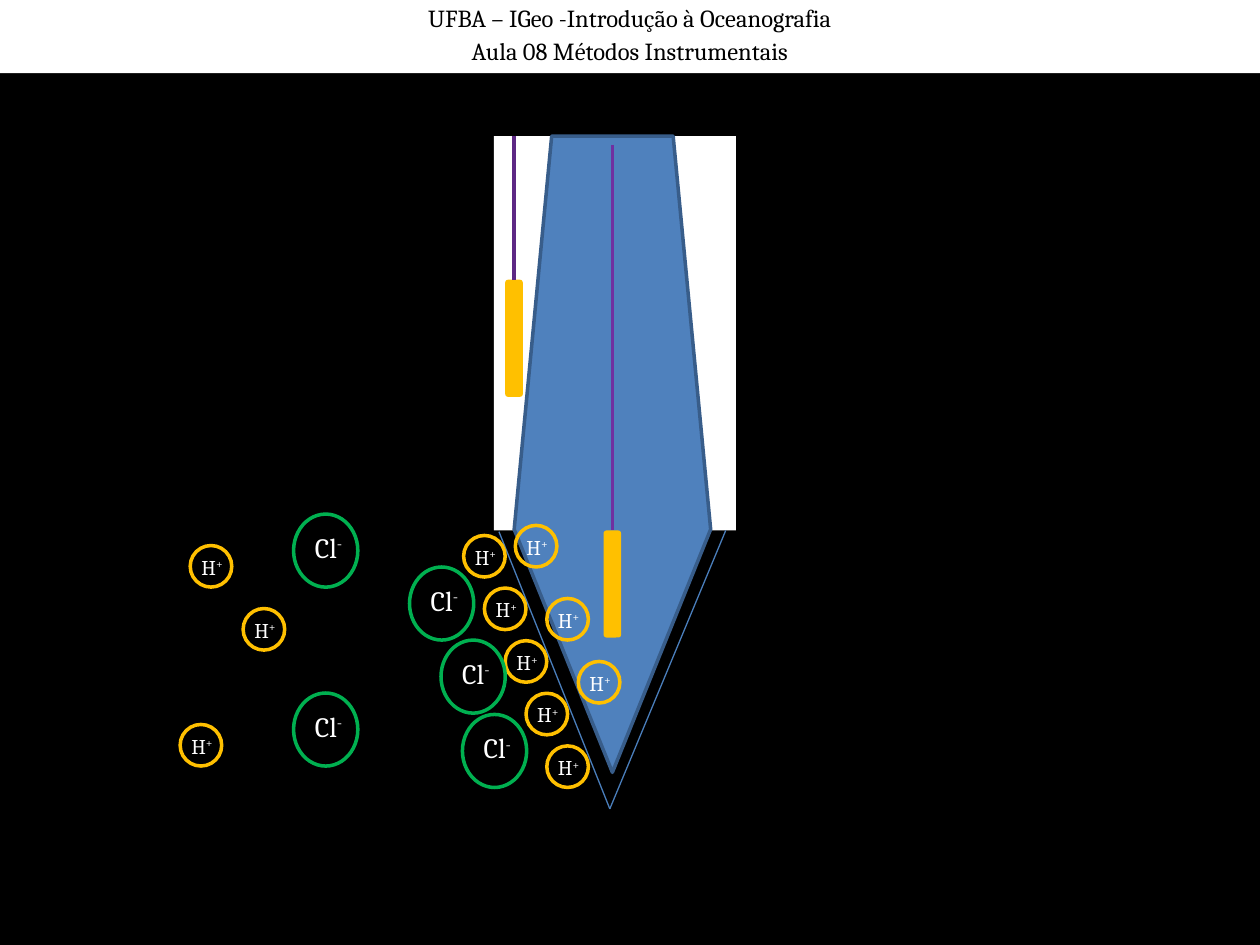
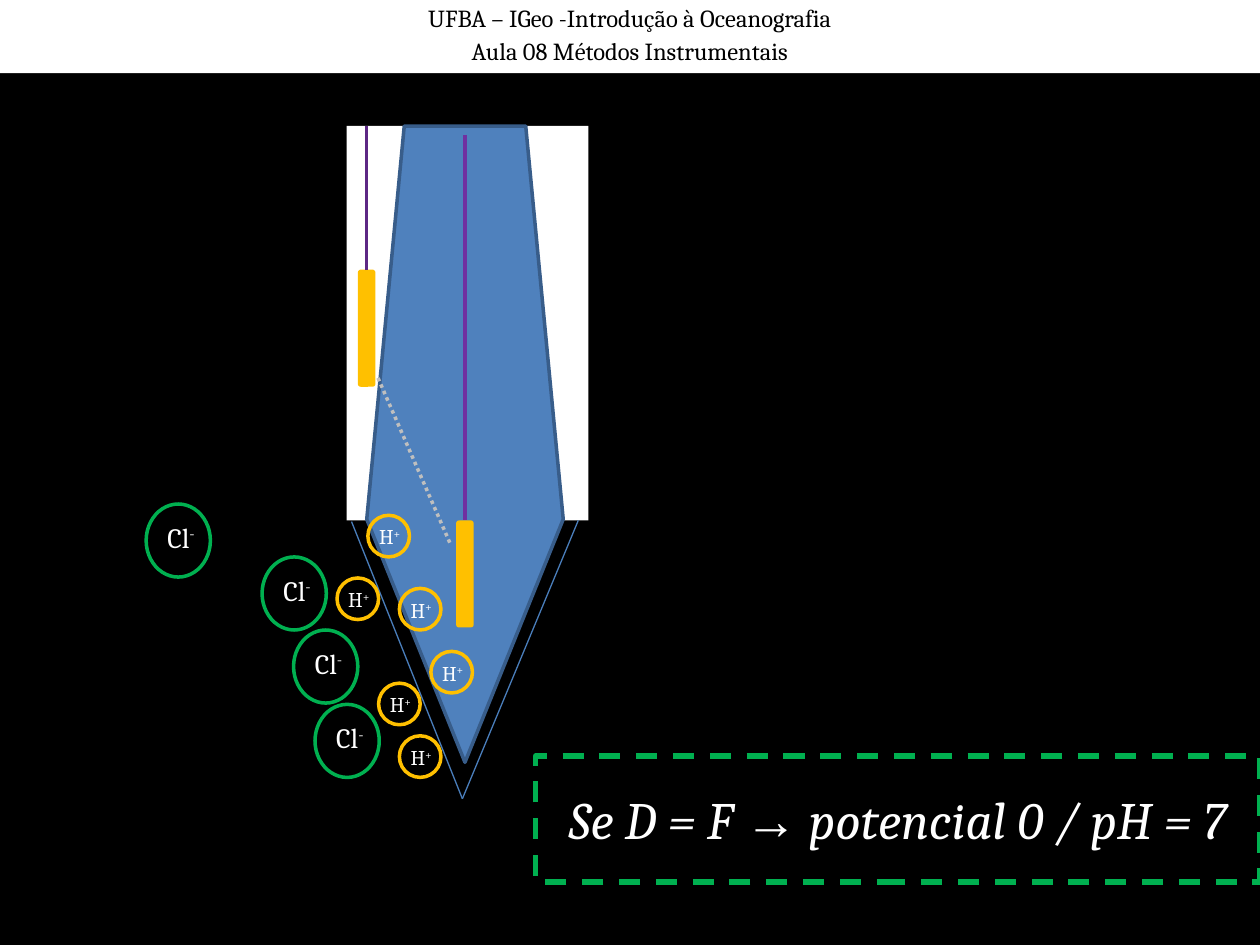
"""Build two slides showing a glass pH electrode and the ions around it."""
from lxml import etree
from pptx import Presentation
from pptx.dml.color import RGBColor
from pptx.enum.dml import MSO_LINE
from pptx.enum.shapes import MSO_CONNECTOR, MSO_SHAPE
from pptx.enum.text import MSO_ANCHOR, MSO_AUTO_SIZE, PP_ALIGN
from pptx.oxml.ns import qn
from pptx.util import Inches, Pt

RECTANGLE, ROUNDED = MSO_SHAPE.RECTANGLE, MSO_SHAPE.ROUNDED_RECTANGLE
PENTAGON, OVAL = MSO_SHAPE.REGULAR_PENTAGON, MSO_SHAPE.OVAL
STRAIGHT = MSO_CONNECTOR.STRAIGHT
DASH, DOTS = MSO_LINE.DASH, MSO_LINE.ROUND_DOT
TOP, MIDDLE = MSO_ANCHOR.TOP, MSO_ANCHOR.MIDDLE
CENTER, NO_FIT = PP_ALIGN.CENTER, MSO_AUTO_SIZE.NONE

FONT = "Cambria"
BLACK, WHITE, GREY = "000000", "FFFFFF", "BFBFBF"
GREEN, GOLD = "00B050", "FFC000"
GLASS, GLASS_EDGE, MEMBRANE = "4F81BD", "385D8A", "4A7EBB"
OUTER_WIRE, INNER_WIRE = "5D2884", "7030A0"

HEADER = ["UFBA – IGeo -Introdução à Oceanografia", "Aula 08 Métodos Instrumentais"]
FORMULA = [("Se D = F ", FONT), ("→", "Arial"), (" potencial 0 / pH = 7", FONT)]

IONS = {
    "hydrogen": {"symbol": "H", "charge": "+", "points": 12, "color": GOLD,
                 "size": (0.33, 0.33), "label": (-0.01, 0.02, 1.08, 0.3)},
    "chloride": {"symbol": "Cl", "charge": "-", "points": 16, "color": GREEN,
                 "size": (0.51, 0.58), "label": (0.07, 0.08, 0.75, 0.37)},
}
# Positions are measured from the top left corner of the electrode body.
MEMBRANE_HYDROGENS = [(-0.24 + 0.165 * i, 3.17 + 0.4175 * i) for i in range(5)]
INNER_HYDROGENS = [(0.17, 3.09), (0.42, 3.67), (0.67, 4.17)]
LOOSE_HYDROGENS = [(-2.41, 3.25), (-1.99, 3.75), (-2.49, 4.67)]
CHLORIDES = [(-0.67, 3.42), (-0.42, 4), (-0.25, 4.59), (-1.59, 3), (-1.59, 4.42)]
WIRES = [
    {"x": 0.16, "start": 0, "rod": (1.14, 0.93), "color": OUTER_WIRE},
    {"x": 0.94, "start": 0.07, "rod": (3.13, 0.85), "color": INNER_WIRE},
]
MEMBRANE_CORNERS = [(0.04, 3.14), (0.92, 5.34), (1.84, 3.13)]
ROD_WIDTH = 0.14

SCENES = [
    {"origin": (3.92, 1.08), "formula": False, "chloride": CHLORIDES,
     "hydrogen": MEMBRANE_HYDROGENS + INNER_HYDROGENS + LOOSE_HYDROGENS},
    {"origin": (2.75, 1), "formula": True, "chloride": CHLORIDES[:4],
     "hydrogen": [MEMBRANE_HYDROGENS[i] for i in (1, 3, 4)] + INNER_HYDROGENS},
]


def rgb(color):
    """Turn a hex string into a colour."""
    return RGBColor.from_string(color)


def add_box(shapes, kind, box, fill=None, line=None, width=2):
    """Add a preset shape with an optional fill and outline."""
    shape = shapes.add_shape(kind, *map(Inches, box))
    shape.shadow.inherit = False
    if fill:
        shape.fill.solid()
        shape.fill.fore_color.rgb = rgb(fill)
    else:
        shape.fill.background()
    if line:
        shape.line.color.rgb = rgb(line)
        shape.line.width = Pt(width)
    else:
        shape.line.fill.background()
    return shape


def add_line(shapes, start, end, color, width=2):
    """Add a straight line without a shadow."""
    line = shapes.add_connector(STRAIGHT, *map(Inches, (*start, *end)))
    line.line.color.rgb = rgb(color)
    line.line.width = Pt(width)
    etree.SubElement(line._element.spPr, qn("a:effectLst"))
    return line


def style(paragraph, points, color):
    """Set the font that the whole paragraph shares."""
    paragraph.font.name = FONT
    paragraph.font.size = Pt(points)
    paragraph.font.color.rgb = rgb(color)


def add_header(slide):
    """Place the course header in the title placeholder."""
    title = slide.shapes.title
    title.left, title.top, title.width, title.height = map(Inches, (0, 0, 10, 0.58))
    title.fill.solid()
    title.fill.fore_color.rgb = rgb(WHITE)
    frame = title.text_frame
    frame.text = "\n".join(HEADER)
    frame.auto_size = NO_FIT
    frame.vertical_anchor = TOP
    for index, paragraph in enumerate(frame.paragraphs):
        paragraph.alignment = CENTER
        paragraph.line_spacing = 0.9
        paragraph.space_before = Pt(3.5 if index else 0)
        style(paragraph, 14, BLACK)


def add_electrode(slide, origin):
    """Draw the electrode body, glass, rods, wires and membrane."""
    left, top = origin
    shapes = slide.shapes.add_group_shape().shapes
    add_box(shapes, RECTANGLE, (left, top, 1.92, 3.13), WHITE)
    glass = add_box(shapes, PENTAGON, (left + 0.16, top, 1.56, 5.05), GLASS, GLASS_EDGE)
    glass.rotation = 180
    for wire in WIRES:
        x = left + wire["x"]
        rod_top, rod_height = wire["rod"]
        rod_box = (x - ROD_WIDTH / 2, top + rod_top, ROD_WIDTH, rod_height)
        rod = add_box(shapes, ROUNDED, rod_box, GOLD)
        line = add_line(shapes, (x, top + wire["start"]), (x, top + rod_top), wire["color"])
        line.end_connect(rod, 0)
    corners = [(left + x, top + y) for x, y in MEMBRANE_CORNERS]
    for start, end in zip(corners, corners[1:]):
        add_line(shapes, start, end, MEMBRANE, 0.75)


def add_ion(slide, ion, left, top):
    """Draw one ion as a ring with its symbol and raised charge."""
    shapes = slide.shapes.add_group_shape().shapes
    x, y, width, height = ion["label"]
    label = shapes.add_textbox(*map(Inches, (left + x, top + y, width, height)))
    label.text_frame.word_wrap = True
    paragraph = label.text_frame.paragraphs[0]
    style(paragraph, ion["points"], WHITE)
    paragraph.add_run().text = ion["symbol"]
    charge = paragraph.add_run()
    charge.text = ion["charge"]
    charge.font._element.set("baseline", "30000")
    add_box(shapes, OVAL, (left, top, *ion["size"]), line=ion["color"])


def add_formula(slide):
    """Add the dotted link between the rods and the framed conclusion."""
    link = add_line(slide.shapes, (3, 3), (3.58, 4.33), GREY)
    link.line.dash_style = DOTS
    frame = add_box(slide.shapes, RECTANGLE, (4.25, 6, 5.75, 1), line=GREEN, width=3)
    frame.line.dash_style = DASH
    frame.text_frame.word_wrap = True
    frame.text_frame.vertical_anchor = MIDDLE
    paragraph = frame.text_frame.paragraphs[0]
    paragraph.alignment = CENTER
    style(paragraph, 30, WHITE)
    paragraph.font.italic = True
    for text, font in FORMULA:
        run = paragraph.add_run()
        run.text = text
        if font != FONT:
            run.font.name = font


def main():
    """Build and save the presentation."""
    presentation = Presentation()
    presentation.slide_width, presentation.slide_height = Inches(10), Inches(7.5)
    background = presentation.slide_master.background.fill
    background.solid()
    background.fore_color.rgb = rgb(BLACK)
    for scene in SCENES:
        slide = presentation.slides.add_slide(presentation.slide_layouts[5])
        add_header(slide)
        add_electrode(slide, scene["origin"])
        left, top = scene["origin"]
        for name, ion in IONS.items():
            for x, y in scene[name]:
                add_ion(slide, ion, left + x, top + y)
        if scene["formula"]:
            add_formula(slide)
    presentation.save("out.pptx")


if __name__ == "__main__":
    main()
